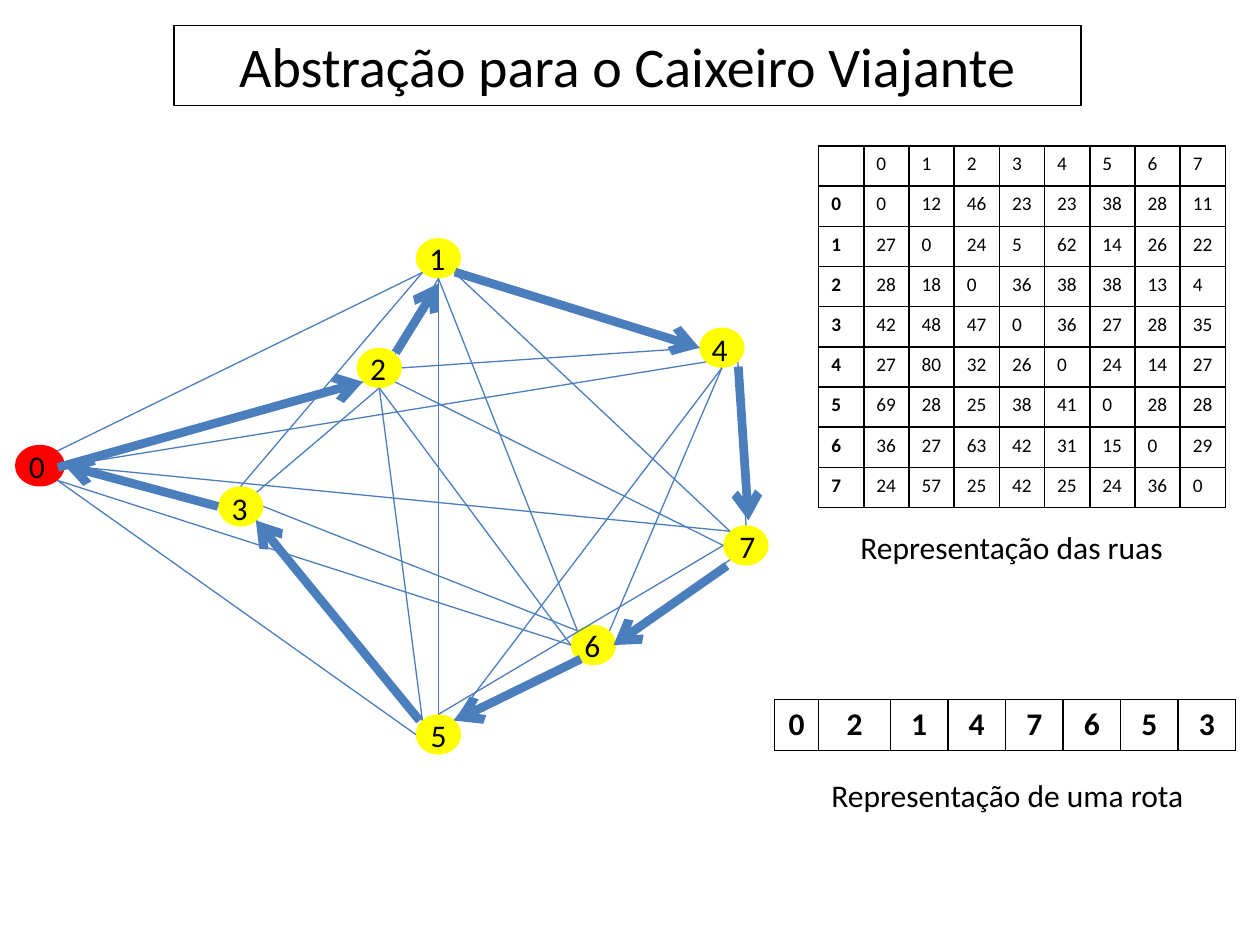
from dataclasses import dataclass

from lxml.etree import SubElement
from pptx import Presentation
from pptx.dml.color import RGBColor as Rgb
from pptx.enum.shapes import MSO_CONNECTOR as Connector, MSO_SHAPE as Shape
from pptx.enum.text import MSO_AUTO_SIZE as AutoSize, PP_ALIGN as Align
from pptx.oxml import parse_xml
from pptx.oxml.ns import qn
from pptx.util import Pt


@dataclass(frozen=True)
class Theme:
    font: str = "Calibri"
    ink: str = "000000"
    start: str = "FF0000"
    city: str = "FFFF00"
    road: str = "4B7EBC"
    title: float = 32
    body: float = 18
    small: float = 11
    thin: float = 0.75
    thick: float = 5
    border: float = 1


THEME = Theme()
CITY_SIZE = (25.9, 23)
START_SIZE = (28.4, 23.8)

CITIES = {
    "0": ((8.6, 254.2), (9.4, 252)),
    "1": ((237.6, 136.1), (238.3, 133.2)),
    "2": ((203.8, 198.7), (204.5, 195.8)),
    "3": ((124.6, 277.9), (125.3, 275.8)),
    "4": ((399.6, 187.2), (399.6, 185)),
    "5": ((237.6, 408.2), (239, 405.4)),
    "6": ((326.2, 357.1), (326.9, 354.2)),
    "7": ((413.3, 300.2), (415.4, 297.4)),
}

ROADS = """
0SE-5W 0E-3W 0SE-6W 0E-7NW 0E-4SW 0E-2SW 0NE-1SW
1SE-4W 1SE-7NW 1S-6NW 5N-1S 3N-1SW 2NE-1S
2SE-7W 2S-3NE 2E-4W 2S-6W 2S-5NW
5NE-6SW 5NW-3SE 5N-7W 5NE-4S 6E-7SW 3E-6NW 6NE-4S 7N-4SE
""".split()

ROUTE = ["0", "2", "1", "4", "7", "6", "5", "3"]
ROUTE_ARROWS = [
    ((33.1, 267.1), (207.4, 218.2)),
    ((226.1, 201.6), (250.6, 162)),
    ((260, 155.5), (399.6, 198.7)),
    ((421.9, 209.5), (427.7, 297.4)),
    ((415.4, 323.3), (350.6, 368.6)),
    ((331.9, 376.6), (260, 411.8)),
    ((239.8, 411.8), (146.2, 297.4)),
    ((124.6, 289.4), (36.7, 265.7)),
]

DISTANCES = [
    [0, 12, 46, 23, 23, 38, 28, 11],
    [27, 0, 24, 5, 62, 14, 26, 22],
    [28, 18, 0, 36, 38, 38, 13, 4],
    [42, 48, 47, 0, 36, 27, 28, 35],
    [27, 80, 32, 26, 0, 24, 14, 27],
    [69, 28, 25, 38, 41, 0, 28, 28],
    [36, 27, 63, 42, 31, 15, 0, 29],
    [24, 57, 25, 42, 25, 24, 36, 0],
]


def points(*values):
    return [Pt(value) for value in values]


def city_box(name):
    return *CITIES[name][0], *(START_SIZE if name == "0" else CITY_SIZE)


def anchor(site):
    left, top, width, height = city_box(site[0])
    side = site[1:]
    reach = 0.5 if len(side) == 1 else 0.5 ** 0.5 / 2
    across = ("E" in side) - ("W" in side)
    down = ("S" in side) - ("N" in side)
    return left + width * (0.5 + across * reach), top + height * (0.5 + down * reach)


def add_span(para, text, size, bold=False):
    span = para.add_run()
    span.text = text
    span.font.name = THEME.font
    span.font.size = Pt(size)
    span.font.bold = bold
    span.font.color.rgb = Rgb.from_string(THEME.ink)


def add_text(page, text, place, size=THEME.body, wrap=False, align=Align.LEFT):
    box = page.shapes.add_textbox(*points(*place))
    box.text_frame.word_wrap = wrap
    box.text_frame.auto_size = AutoSize.SHAPE_TO_FIT_TEXT
    para = box.text_frame.paragraphs[0]
    para.alignment = align
    add_span(para, text, size)
    return box


def add_line(page, start, end, width, arrow=False):
    line = page.shapes.add_connector(Connector.STRAIGHT, *points(*start, *end))
    line.line.color.rgb = Rgb.from_string(THEME.road)
    line.line.width = Pt(width)
    if arrow:
        SubElement(line.line._get_or_add_ln(), qn("a:tailEnd"), type="arrow")
    SubElement(line._element.spPr, qn("a:effectLst"))


def add_city(page, name):
    city = page.shapes.add_shape(Shape.OVAL, *points(*city_box(name)))
    city.shadow.inherit = False
    city.fill.solid()
    city.fill.fore_color.rgb = Rgb.from_string(THEME.start if name == "0" else THEME.city)
    city.line.fill.background()


def add_borders(cell):
    props = cell._tc.get_or_add_tcPr()
    for index, side in enumerate("LRTB"):
        props.insert(index, parse_xml(
            f'<a:ln{side} xmlns:a="http://schemas.openxmlformats.org/drawingml/2006/main" '
            f'w="{Pt(THEME.border)}"><a:solidFill><a:srgbClr val="{THEME.ink}"/>'
            f'</a:solidFill></a:ln{side}>'))


def add_grid(page, rows, origin, widths, height, size, align, is_bold):
    place = points(*origin, sum(widths), height * len(rows))
    table = page.shapes.add_table(len(rows), len(widths), *place).table
    table.first_row = table.horz_banding = False
    for column, width in zip(table.columns, widths):
        column.width = Pt(width)
    for r, row in enumerate(rows):
        table.rows[r].height = Pt(height)
        for c, text in enumerate(row):
            cell = table.cell(r, c)
            cell.fill.background()
            add_borders(cell)
            if not text:
                cell.margin_top = cell.margin_bottom = 0
                continue
            if align == Align.LEFT:
                cell.margin_right = 0
            para = cell.text_frame.paragraphs[0]
            para.alignment = align
            add_span(para, text, size, is_bold(r, c))


def main():
    deck = Presentation()
    deck.slide_width, deck.slide_height = points(720, 540)
    page = deck.slides.add_slide(deck.slide_layouts[6])

    title = add_text(page, "Abstração para o Caixeiro Viajante", (99.4, 14.4, 518.4, 46),
                     THEME.title, wrap=True, align=Align.CENTER)
    title.line.color.rgb = Rgb.from_string(THEME.ink)
    title.line.width = Pt(THEME.thin)

    for name in CITIES:
        add_city(page, name)
    for road in ROADS:
        start, end = road.split("-")
        add_line(page, anchor(start), anchor(end), THEME.thin)
    for name, (_, label) in CITIES.items():
        add_text(page, name, (*label, 23.7, 29))

    streets = [["", *CITIES]]
    streets += [[name, *map(str, row)] for name, row in zip(CITIES, DISTANCES)]
    add_grid(page, streets, (467.8, 83.4), [25.85] * 9, 22.97, THEME.small,
             Align.LEFT, lambda r, c: c == 0)
    add_text(page, "Representação das ruas", (484.6, 298.1, 189.4, 29))

    add_grid(page, [ROUTE], (442.6, 399.6), [25.2, 41] + [32.9] * 6, 29.2, THEME.body,
             Align.CENTER, lambda r, c: True)
    add_text(page, "Representação de uma rota", (468, 439.9, 218.2, 29))

    for start, end in ROUTE_ARROWS:
        add_line(page, start, end, THEME.thick, arrow=True)

    deck.save("out.pptx")


if __name__ == "__main__":
    main()
